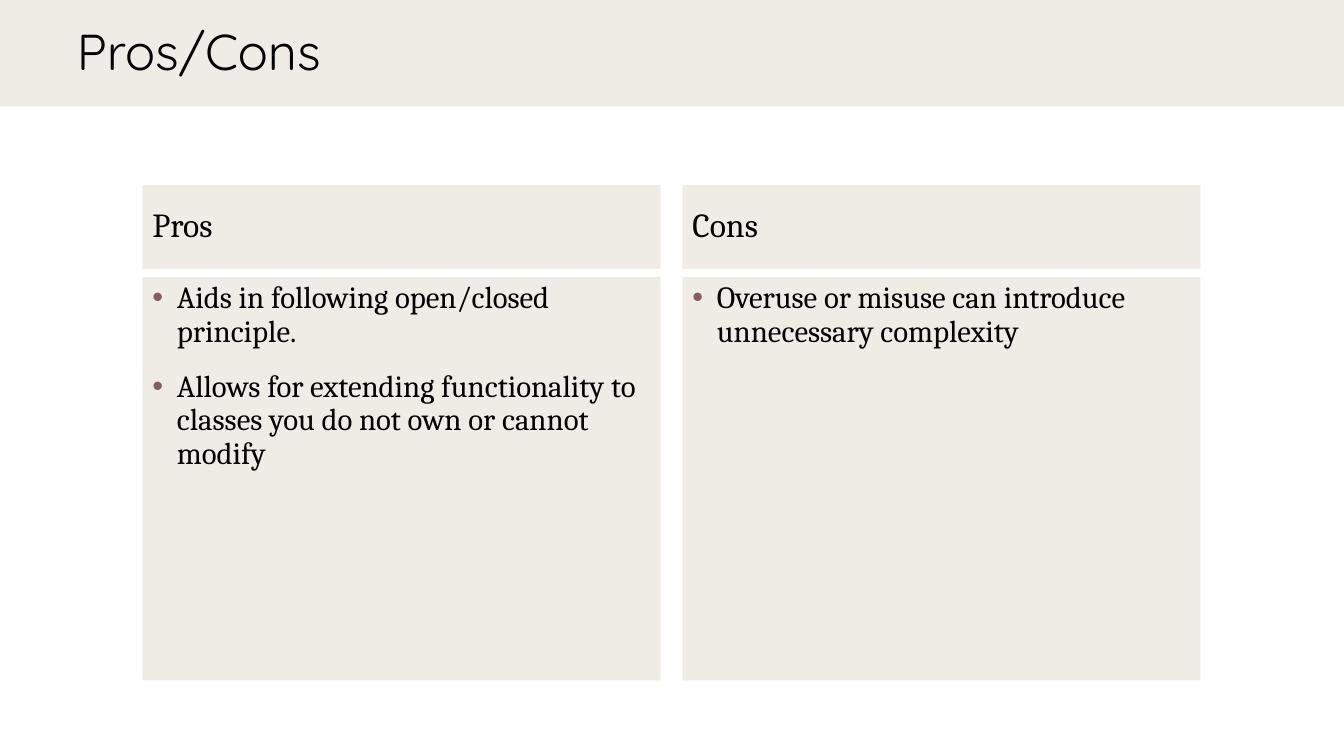
from dataclasses import dataclass

from lxml.etree import SubElement
from pptx import Presentation
from pptx.dml.color import RGBColor
from pptx.enum.shapes import MSO_SHAPE
from pptx.enum.text import MSO_ANCHOR, MSO_AUTO_SIZE, PP_ALIGN
from pptx.oxml.ns import qn
from pptx.util import Pt


@dataclass(frozen=True)
class Theme:
    panel: str = "E9E5DC"
    panel_alpha: int = 70
    ink: str = "000000"
    bullet: str = "855D5D"
    title_font: str = "Quicksand"
    body_font: str = "Cambria"
    title_size: int = 36
    heading_size: int = 24
    list_size: int = 22


def write(p, text, font, size, color, before=0):
    p.alignment = PP_ALIGN.LEFT
    p.line_spacing = 0.9
    p.space_before = Pt(before)
    r = p.add_run()
    r.text = text
    r.font.name = font
    r.font.size = Pt(size)
    r.font.bold = False
    r.font.color.rgb = RGBColor.from_string(color)


class Deck:
    def __init__(self, slide, theme):
        self.s = slide
        self.theme = theme

    def tint(self, sp):
        sp.fill.solid()
        sp.fill.fore_color.rgb = RGBColor.from_string(self.theme.panel)
        clr = sp._element.spPr.find(qn("a:solidFill")).find(qn("a:srgbClr"))
        SubElement(clr, qn("a:alpha"), val=str(self.theme.panel_alpha * 1000))

    def band(self, x, y, w, h):
        sp = self.s.shapes.add_shape(MSO_SHAPE.RECTANGLE, Pt(x), Pt(y), Pt(w), Pt(h))
        sp.shadow.inherit = False
        sp.line.fill.background()
        self.tint(sp)
        self.s.shapes._spTree.insert(2, sp._element)

    def place(self, idx, x, y, w, h, anchor):
        sp = self.s.placeholders[idx]
        sp.left, sp.top, sp.width, sp.height = Pt(x), Pt(y), Pt(w), Pt(h)
        tf = sp.text_frame
        tf.word_wrap = True
        tf.auto_size = MSO_AUTO_SIZE.NONE
        tf.vertical_anchor = anchor
        return sp

    def title(self, text, *box):
        t = self.theme
        sp = self.place(0, *box, MSO_ANCHOR.MIDDLE)
        write(sp.text_frame.paragraphs[0], text, font=t.title_font,
              size=t.title_size, color=t.ink)

    def heading(self, idx, text, *box):
        t = self.theme
        sp = self.place(idx, *box, MSO_ANCHOR.MIDDLE)
        self.tint(sp)
        write(sp.text_frame.paragraphs[0], text, font=t.body_font,
              size=t.heading_size, color=t.ink)

    def bullets(self, idx, items, *box):
        t = self.theme
        sp = self.place(idx, *box, MSO_ANCHOR.TOP)
        self.tint(sp)
        tf = sp.text_frame
        for i, item in enumerate(items):
            p = tf.add_paragraph() if i else tf.paragraphs[0]
            write(p, item, font=t.body_font, size=t.list_size, color=t.ink, before=16)
            pPr = p._p.get_or_add_pPr()
            pPr.set("marL", str(Pt(17.5)))
            pPr.set("indent", str(-Pt(17.5)))
            SubElement(SubElement(pPr, qn("a:buClr")), qn("a:srgbClr"), val=t.bullet)
            SubElement(pPr, qn("a:buFont"), typeface="Arial")
            SubElement(pPr, qn("a:buChar"), char="•")


COLUMNS = [
    ("Pros", ["Aids in following open/closed principle.",
              "Allows for extending functionality to classes you do not own or cannot modify"]),
    ("Cons", ["Overuse or misuse can introduce unnecessary complexity"]),
]
LEFT, WIDTH, GAP = 101.7, 370, 15.7
HEAD_TOP, HEAD_HEIGHT = 132, 60
LIST_TOP, LIST_HEIGHT = 198, 288

prs = Presentation()
prs.slide_width, prs.slide_height = Pt(960), Pt(540)
s = prs.slides.add_slide(prs.slide_layouts.get_by_name("Comparison"))
deck = Deck(s, Theme())

deck.band(0, -2, 960, 78)
deck.title("Pros/Cons", 47.7, 0, 912, 78)
for i, (name, items) in enumerate(COLUMNS):
    x = LEFT + i * (WIDTH + GAP)
    deck.heading(1 + 2 * i, name, x, HEAD_TOP, WIDTH, HEAD_HEIGHT)
    deck.bullets(2 + 2 * i, items, x, LIST_TOP, WIDTH, LIST_HEIGHT)

for sp in list(s.placeholders):
    if not sp.text_frame.text:
        sp._element.getparent().remove(sp._element)

prs.save("out.pptx")
